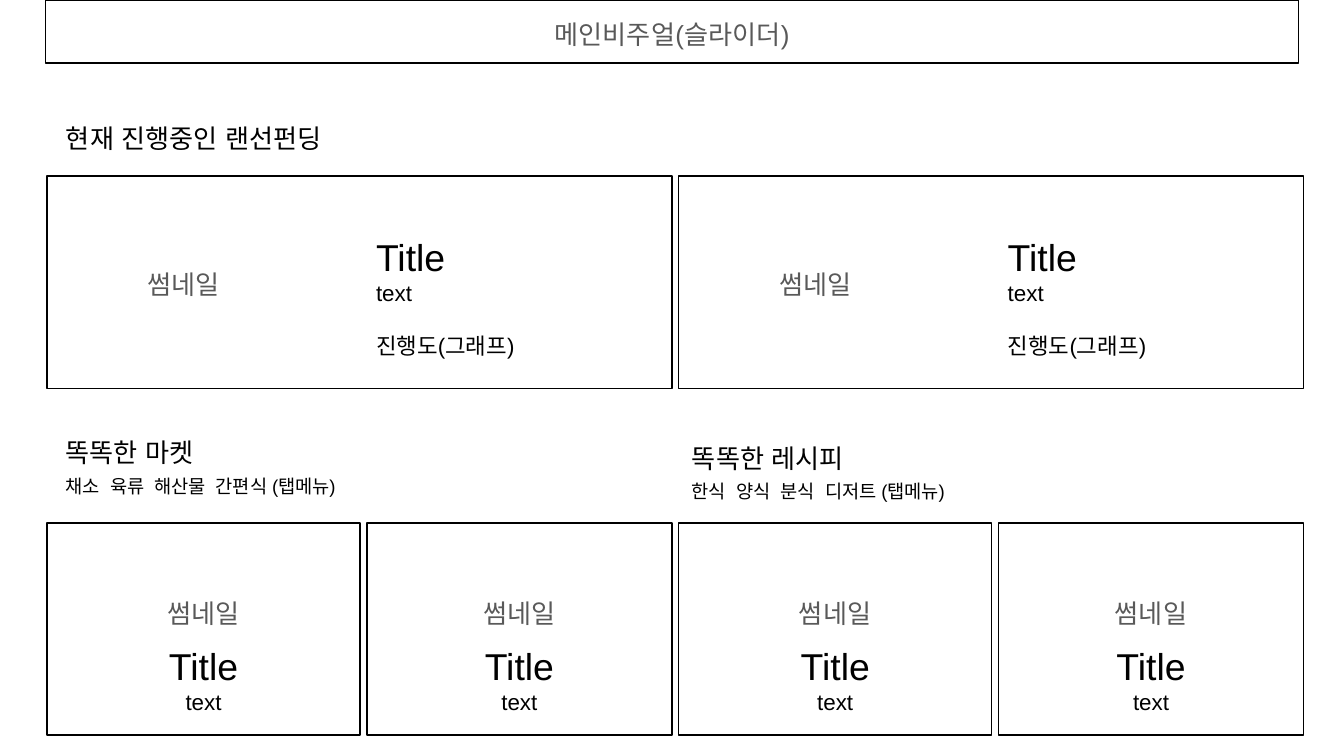
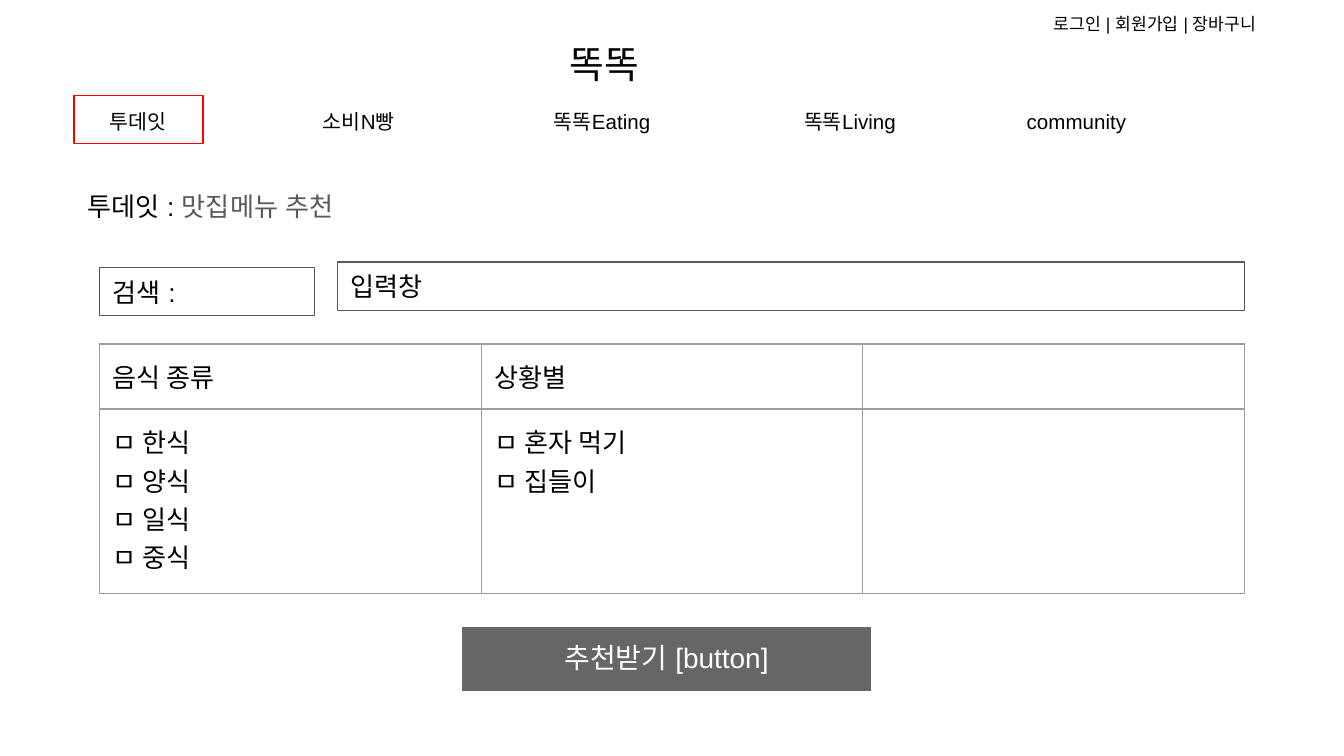
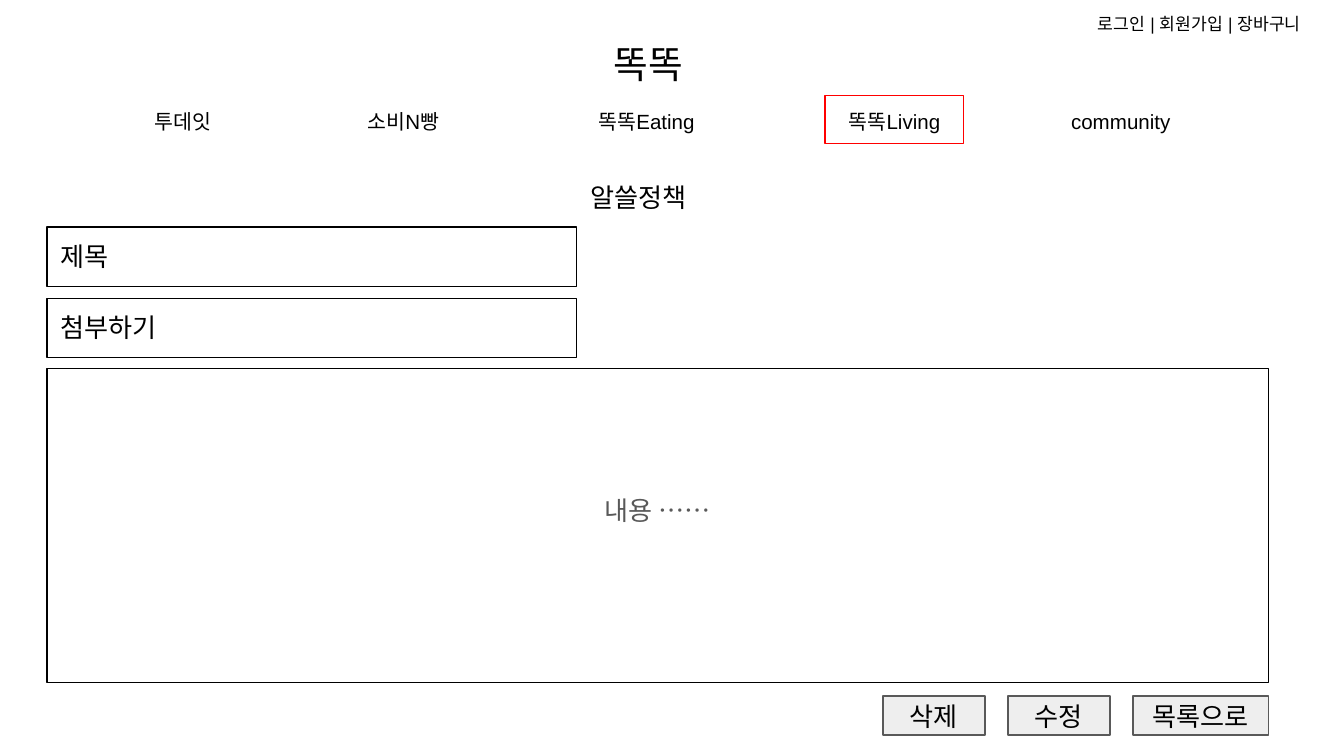
from dataclasses import dataclass
from itertools import product
from typing import Optional

from lxml.etree import SubElement
from pptx import Presentation
from pptx.dml.color import RGBColor
from pptx.enum.shapes import MSO_SHAPE
from pptx.enum.text import MSO_ANCHOR, MSO_AUTO_SIZE, PP_ALIGN
from pptx.oxml.ns import qn
from pptx.util import Inches, Pt

FONT = "Arial"
COLORS = {
    "black": "000000",
    "gray": "595959",
    "white": "FFFFFF",
    "red": "FF0000",
    "button": "666666",
    "light": "EEEEEE",
    "grid": "9E9E9E",
}
FRAME_FORMAT = {
    "margin_left": Inches(0.1),
    "margin_right": Inches(0.1),
    "margin_top": Inches(0.1),
    "margin_bottom": Inches(0.1),
    "word_wrap": True,
    "auto_size": MSO_AUTO_SIZE.NONE,
}
CELL_FORMAT = {name: value for name, value in FRAME_FORMAT.items() if name.startswith("margin")}
LEFT, CENTER = PP_ALIGN.LEFT, PP_ALIGN.CENTER
TOP, MIDDLE, BOTTOM = MSO_ANCHOR.TOP, MSO_ANCHOR.MIDDLE, MSO_ANCHOR.BOTTOM
CARD_LIFT = 0.37  # bottom inset that raises a centred label
MENU_GAP = 2.8  # points added to the space between menu words


@dataclass(frozen=True)
class Area:
    left: float
    top: float
    width: float
    height: float

    def lengths(self) -> list:
        return [Inches(v) for v in (self.left, self.top, self.width, self.height)]


@dataclass(frozen=True)
class Run:
    text: str
    color: str = "black"
    tracking: float = 0


@dataclass(frozen=True)
class Line:
    runs: tuple
    size: float = 14
    align: PP_ALIGN = LEFT
    spacing: float = 1.0
    before: float = 0
    indent: float = 0
    east_asian: bool = True


@dataclass(frozen=True)
class Look:
    anchor: MSO_ANCHOR = TOP
    fill: Optional[str] = None
    border: Optional[str] = None
    bottom: float = 0.1


@dataclass(frozen=True)
class NavItem:
    label: str
    left: float
    width: float


PLAIN = Look()
FRAMED = Look(MIDDLE, border="black")
CARD = Look(MIDDLE, border="black", bottom=CARD_LIFT)
FIELD = Look(MIDDLE, border="gray")
ACTION = Look(MIDDLE, fill="light", border="gray")
NAVIGATION = (
    NavItem("투데잇", 0, 0.96),
    NavItem("소비N빵", 1.64, 0.96),
    NavItem("똑똑Eating", 3.29, 1.28),
    NavItem("똑똑Living", 5.26, 1.03),
    NavItem("community", 6.98, 0.96),
)


def rgb(name: str) -> RGBColor:
    return RGBColor.from_string(COLORS[name])


def line(text: str, size: float = 14, color: str = "black", **options) -> Line:
    return Line((Run(text, color),), size, **options)


def tab_menu(*words: str) -> Line:
    """One line of words set apart by widened spaces."""
    runs = [Run(words[0])]
    for word in words[1:]:
        runs += [Run(" ", tracking=MENU_GAP), Run(word)]
    return Line(tuple(runs), 10)


def write(frame, lines: tuple) -> None:
    for number, content in enumerate(lines):
        paragraph = frame.add_paragraph() if number else frame.paragraphs[0]
        properties = paragraph._p.get_or_add_pPr()
        properties.set("marL", str(Inches(content.indent)))
        properties.set("indent", "0")
        SubElement(properties, qn("a:buNone"))
        paragraph.alignment = content.align
        paragraph.line_spacing = content.spacing
        paragraph.space_before = Pt(content.before)
        paragraph.space_after = Pt(0)
        for part in content.runs:
            run = paragraph.add_run()
            run.text = part.text
            run.font.size = Pt(content.size)
            run.font.name = FONT
            run.font.color.rgb = rgb(part.color)
            run_properties = run._r.get_or_add_rPr()
            if part.tracking:
                run_properties.set("spc", str(round(part.tracking * 100)))
            if content.east_asian:
                SubElement(run_properties, qn("a:ea"), typeface=FONT)


def dress(shape, area: Area, lines: tuple, look: Look = PLAIN) -> None:
    """Place, paint and fill a box or a placeholder."""
    shape.left, shape.top, shape.width, shape.height = area.lengths()
    if look.fill:
        shape.fill.solid()
        shape.fill.fore_color.rgb = rgb(look.fill)
    else:
        shape.fill.background()
    if look.border:
        shape.line.color.rgb = rgb(look.border)
        shape.line.width = Pt(0.75)
    else:
        shape.line.fill.background()
    frame = shape.text_frame
    frame_format = FRAME_FORMAT | {
        "vertical_anchor": look.anchor,
        "margin_bottom": Inches(look.bottom),
    }
    for name, value in frame_format.items():
        setattr(frame, name, value)
    write(frame, lines)


def add_box(slide, area: Area, *lines: Line, look: Look = PLAIN) -> None:
    if look.border or look.fill:
        shape = slide.shapes.add_shape(MSO_SHAPE.RECTANGLE, *area.lengths())
        shape.shadow.inherit = False
    else:
        shape = slide.shapes.add_textbox(*area.lengths())
    dress(shape, area, lines, look)


def add_header(slide, left: float, active: str) -> None:
    """Brand, account links and menu, with the active menu item outlined."""
    add_box(slide, Area(left + 3.59, 0.2, 0.8, 0.42), line("똑똑", 20.2))
    add_box(slide, Area(left + 7.19, 0, 1.92, 0.42), line("로그인 | 회원가입 | 장바구니", 9.2))
    for item in NAVIGATION:
        look = Look(border="red") if item.label == active else PLAIN
        area = Area(left + item.left, 0.71, item.width, 0.36)
        add_box(slide, area, line(item.label, 11, align=CENTER), look=look)


def add_filters(slide, area: Area, row_heights: tuple, columns: tuple) -> None:
    grid = slide.shapes.add_table(len(row_heights), len(columns), *area.lengths()).table
    grid.first_row = grid.horz_banding = False
    for row, height in zip(grid.rows, row_heights):
        row.height = Inches(height)
    for column in grid.columns:
        column.width = Inches(area.width / len(columns))
    for r, c in product(range(len(row_heights)), range(len(columns))):
        cell = grid.cell(r, c)
        for name, value in CELL_FORMAT.items():
            setattr(cell, name, value)
        options = columns[c][r]
        write(cell.text_frame, tuple(line(text, east_asian=False) for text in options))
        if not options:
            SubElement(cell.text_frame.paragraphs[0]._p, qn("a:endParaRPr"), sz="1400")
        properties = cell._tc.get_or_add_tcPr()
        for side in ("lnL", "lnR", "lnT", "lnB"):
            border = SubElement(properties, qn(f"a:{side}"), w=str(Pt(0.75)))
            paint = SubElement(border, qn("a:solidFill"))
            SubElement(paint, qn("a:srgbClr"), val=COLORS["grid"])
        cell.fill.background()


def build_main(slide) -> None:
    dress(slide.shapes.title, Area(0.39, 0.81, 2.56, 0.44), (line("현재 진행중인 랜선펀딩"),))
    visual = line("메인비주얼(슬라이더)", color="gray", align=CENTER, spacing=1.15)
    dress(slide.placeholders[1], Area(0.34, 0, 9.32, 0.47), (visual,), FRAMED)

    for left in (0.35, 5.05):
        add_box(slide, Area(left, 1.31, 4.65, 1.58),
                line("썸네일", color="gray", spacing=1.15, indent=0.65), look=FRAMED)
        add_box(slide, Area(left + 2.35, 1.58, 2.13, 1.19),
                line("Title", 20), line("text", 12), line("진행도(그래프)", 12, before=14),
                look=Look(BOTTOM))
        for offset, width in ((0, 2.33), (2.38, 2.27)):
            card_left = left + offset
            add_box(slide, Area(card_left, 3.89, width, 1.58),
                    line("썸네일", color="gray", align=CENTER, spacing=1.15), look=CARD)
            add_box(slide, Area(card_left + (width - 2.13) / 2, 4.68, 2.13, 0.74),
                    line("Title", 20, align=CENTER), line("text", 12, align=CENTER),
                    look=Look(BOTTOM))

    sections = (
        (0.39, 3.15, "똑똑한 마켓", ("채소", "육류", "해산물", "간편식 (탭메뉴)")),
        (5.05, 3.19, "똑똑한 레시피", ("한식", "양식", "분식", "디저트 (탭메뉴)")),
    )
    for left, top, heading, words in sections:
        add_box(slide, Area(left, top, 1.46, 0.44), line(heading))
        add_box(slide, Area(left, top + 0.28, 4.87, 0.37), tab_menu(*words))


def build_search(slide) -> None:
    heading = Line((Run("투데잇 : "), Run("맛집메뉴 추천", "gray")))
    dress(slide.shapes.title, Area(0.55, 1.32, 2.94, 0.63), (heading,))
    add_header(slide, 0.55, "투데잇")
    add_box(slide, Area(0.74, 1.99, 1.6, 0.36), line("검색 :"), look=FIELD)
    add_box(slide, Area(2.51, 1.95, 6.75, 0.36), line("입력창"), look=FIELD)
    add_filters(slide, Area(0.74, 2.56, 8.52, 1.85), (0.48, 1.37), (
        (("음식 종류",), ("ㅁ 한식", "ㅁ 양식", "ㅁ 일식", "ㅁ 중식")),
        (("상황별",), ("ㅁ 혼자 먹기", "ㅁ 집들이")),
        ((), ()),
    ))
    submit = line("추천받기 [button]", 15, "white", align=CENTER, spacing=0.95)
    dress(slide.placeholders[1], Area(3.43, 4.66, 3.06, 0.49), (submit,),
          Look(MIDDLE, fill="button", border="white"))


def build_post(slide) -> None:
    dress(slide.shapes.title, Area(4.29, 1.25, 1.18, 0.44), (line("알쓸정책"),))
    add_header(slide, 0.88, "똑똑Living")
    for row, label in enumerate(("제목", "첨부하기")):
        add_box(slide, Area(0.35, 1.69 + row * 0.53, 3.94, 0.44), line(label),
                look=Look(border="black"))
    content = line("내용 ……", color="gray", align=CENTER, spacing=1.15, east_asian=False)
    dress(slide.placeholders[1], Area(0.35, 2.74, 9.09, 2.34), (content,), CARD)
    left = 6.57
    for label, width in (("삭제", 0.76), ("수정", 0.76), ("목록으로", 1.01)):
        add_box(slide, Area(left, 5.18, width, 0.29), line(label, align=CENTER), look=ACTION)
        left += width + 0.17


def main() -> None:
    deck = Presentation()
    deck.slide_width = Inches(10)
    deck.slide_height = deck.slide_width * 9 // 16
    for build in (build_main, build_search, build_post):
        build(deck.slides.add_slide(deck.slide_layouts[1]))
    deck.save("out.pptx")


if __name__ == "__main__":
    main()
